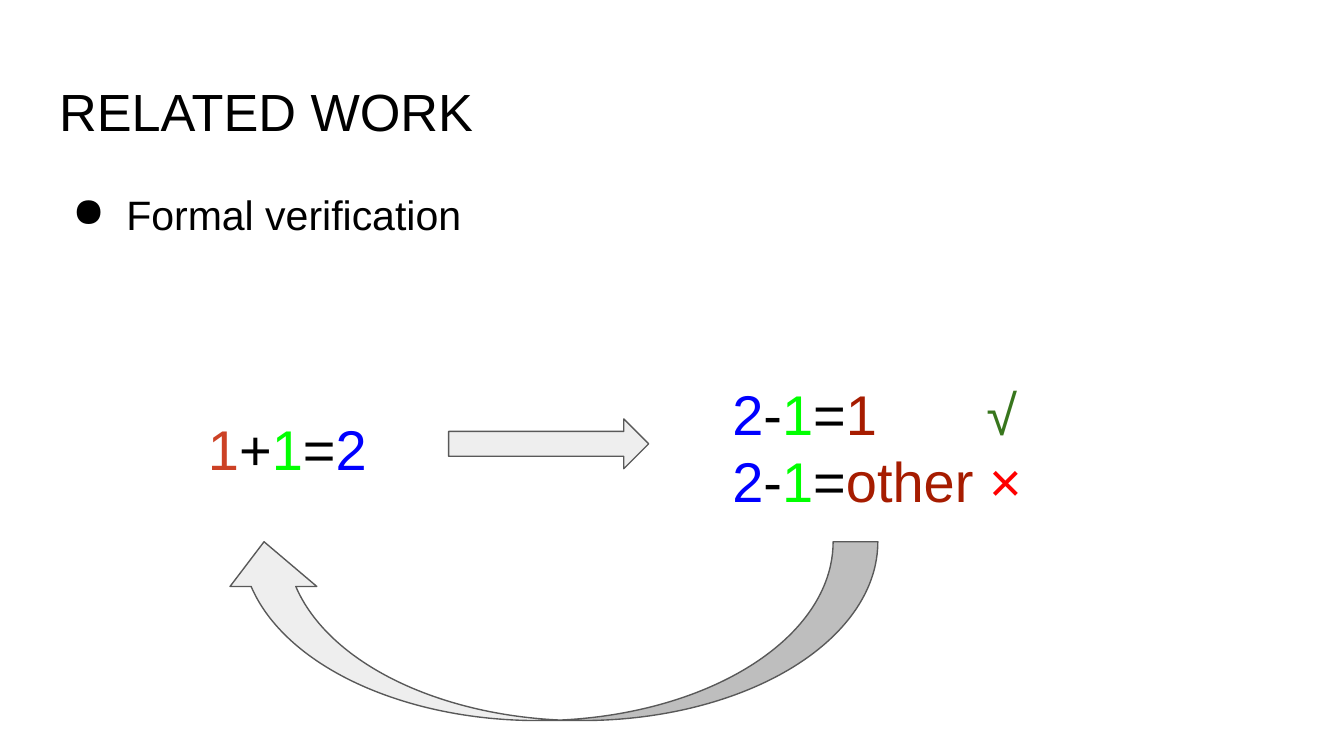
import lxml.etree
import pptx
import pptx.dml.color
import pptx.enum.shapes
import pptx.oxml.ns
import pptx.util

Cm = pptx.util.Cm
Pt = pptx.util.Pt
MSO_SHAPE = pptx.enum.shapes.MSO_SHAPE

COLORS = {
    "black": "000000",
    "orange": "CC4125",
    "green": "00FF00",
    "blue": "0000FF",
    "brown": "A61C00",
    "check": "38761D",
    "cross": "FF0000",
    "arrow": "EEEEEE",
    "outline": "595959",
}


def rgb(name):
    return pptx.dml.color.RGBColor.from_string(COLORS[name])


def add_xml(parent, tag, **attributes):
    return lxml.etree.SubElement(parent, pptx.oxml.ns.qn(tag), attributes)


class SlideBuilder:
    def __init__(self, slide, font="Arial"):
        self.slide = slide
        self.font = font

    def text(self, left, top, width, height, lines, size):
        """Add a text box; each line is a list of (text, colour name) pairs."""
        box = self.slide.shapes.add_textbox(Cm(left), Cm(top), Cm(width), Cm(height))
        frame = box.text_frame
        frame.word_wrap = True
        frame.margin_left = frame.margin_right = Cm(0.25)
        frame.margin_top = frame.margin_bottom = Cm(0.25)
        for index, line in enumerate(lines):
            paragraph = frame.add_paragraph() if index else frame.paragraphs[0]
            paragraph.font.name = self.font
            paragraph.font.size = Pt(size)
            for content, color in line:
                run = paragraph.add_run()
                run.text = content
                run.font.color.rgb = rgb(color)
        return frame.paragraphs

    def bullet(self, paragraph, indent, hanging):
        paragraph.line_spacing = 1.15
        properties = paragraph._p.get_or_add_pPr()
        properties.set("marL", str(Cm(indent)))
        properties.set("indent", str(-Cm(hanging)))
        bullet = add_xml(properties, "a:buChar", char="●")
        properties.find(pptx.oxml.ns.qn("a:defRPr")).addprevious(bullet)

    def tab_stop(self, paragraph, position):
        properties = paragraph._p.get_or_add_pPr()
        tabs = add_xml(properties, "a:tabLst")
        add_xml(tabs, "a:tab", pos=str(Cm(position)), algn="l")
        properties.find(pptx.oxml.ns.qn("a:defRPr")).addprevious(tabs)

    def arrow(self, kind, left, top, width, height, adjustments, rotation=0):
        arrow = self.slide.shapes.add_shape(
            kind, Cm(left), Cm(top), Cm(width), Cm(height))
        for index, value in enumerate(adjustments):
            arrow.adjustments[index] = value
        arrow.rotation = rotation
        arrow.shadow.inherit = False
        arrow.fill.solid()
        arrow.fill.fore_color.rgb = rgb("arrow")
        arrow.line.color.rgb = rgb("outline")
        arrow.line.width = Pt(0.75)


def main():
    deck = pptx.Presentation()
    deck.slide_width, deck.slide_height = Cm(25.4), Cm(14.29)
    builder = SlideBuilder(deck.slides.add_slide(deck.slide_layouts[6]))

    builder.text(0.87, 1.24, 23.67, 1.6, [[("RELATED WORK", "black")]], 28)
    topic = builder.text(
        0.87, 3.2, 10.74, 1.6, [[("Formal verification", "black")]], 22)
    builder.bullet(topic[0], indent=1.27, hanging=1.02)

    addition = [("1", "orange"), ("+", "black"), ("1", "green"),
                ("=", "black"), ("2", "blue")]
    builder.text(3.68, 7.59, 4.32, 1.6, [addition], 30)

    subtraction = [("2", "blue"), ("-", "black"), ("1", "green"), ("=", "black")]
    checks = builder.text(13.59, 6.93, 7.67, 4.17, [
        subtraction + [("1\t", "brown"), ("√", "check")],
        subtraction + [("other ", "brown"), ("×", "cross")],
    ], 30)
    builder.tab_stop(checks[0], 4.8)

    builder.arrow(MSO_SHAPE.RIGHT_ARROW, 8.48, 7.92, 3.78, 0.94, [0.5, 0.5])
    builder.arrow(MSO_SHAPE.CURVED_DOWN_ARROW, 4.17, 10.24, 12.42, 3.38,
                  [0.25, 0.485, 0.25], rotation=180)

    deck.save("out.pptx")


if __name__ == "__main__":
    main()
